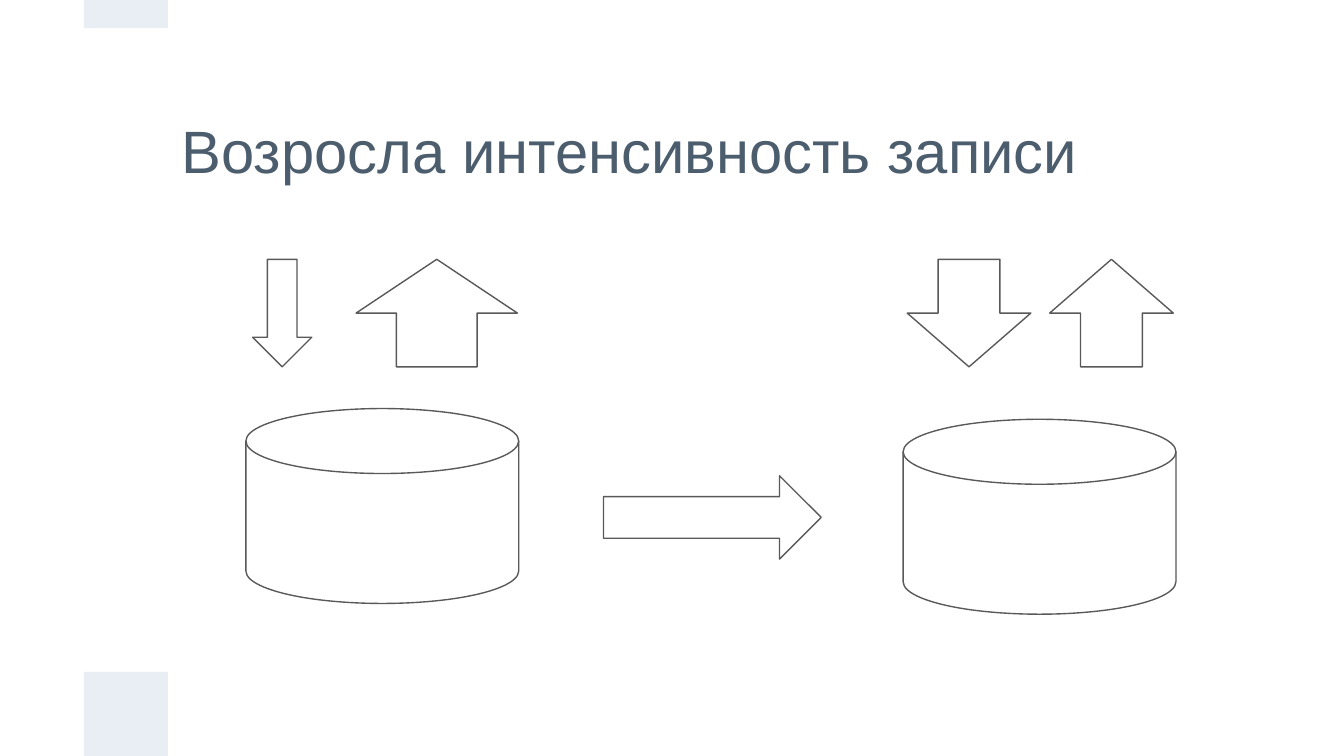
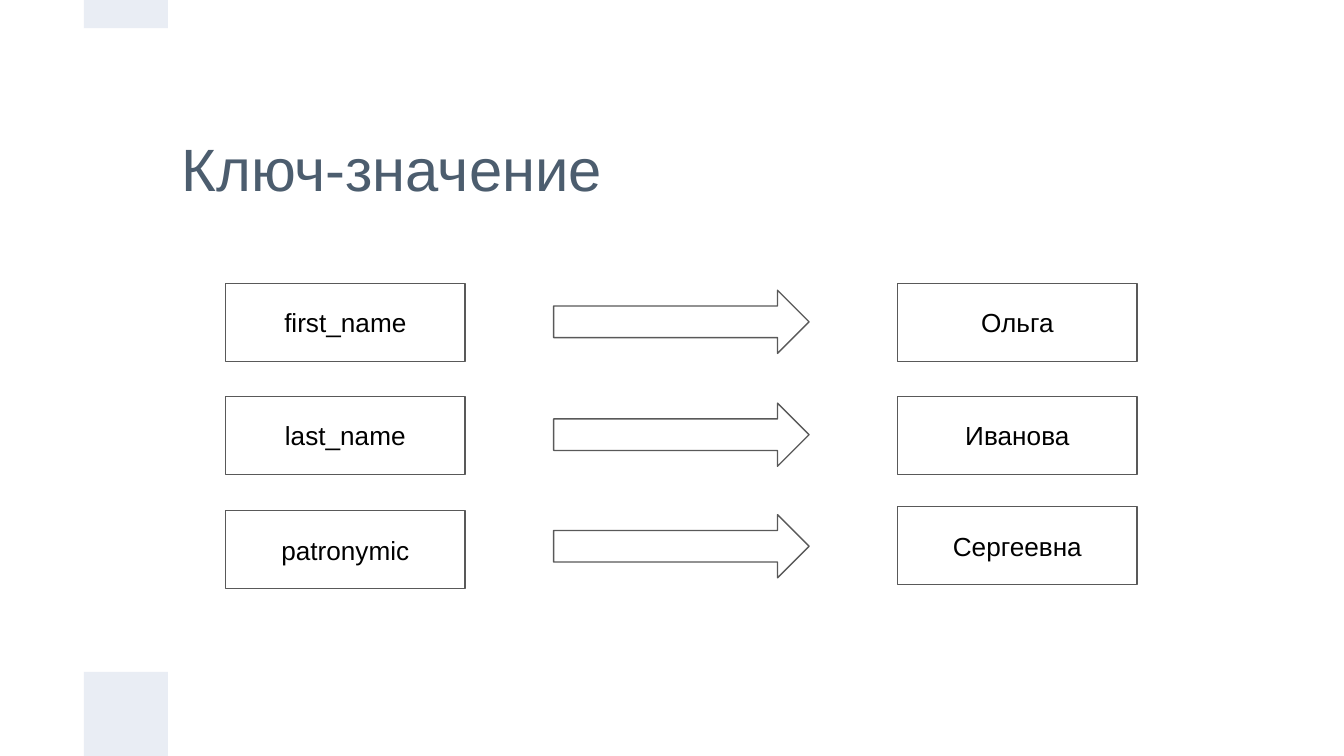
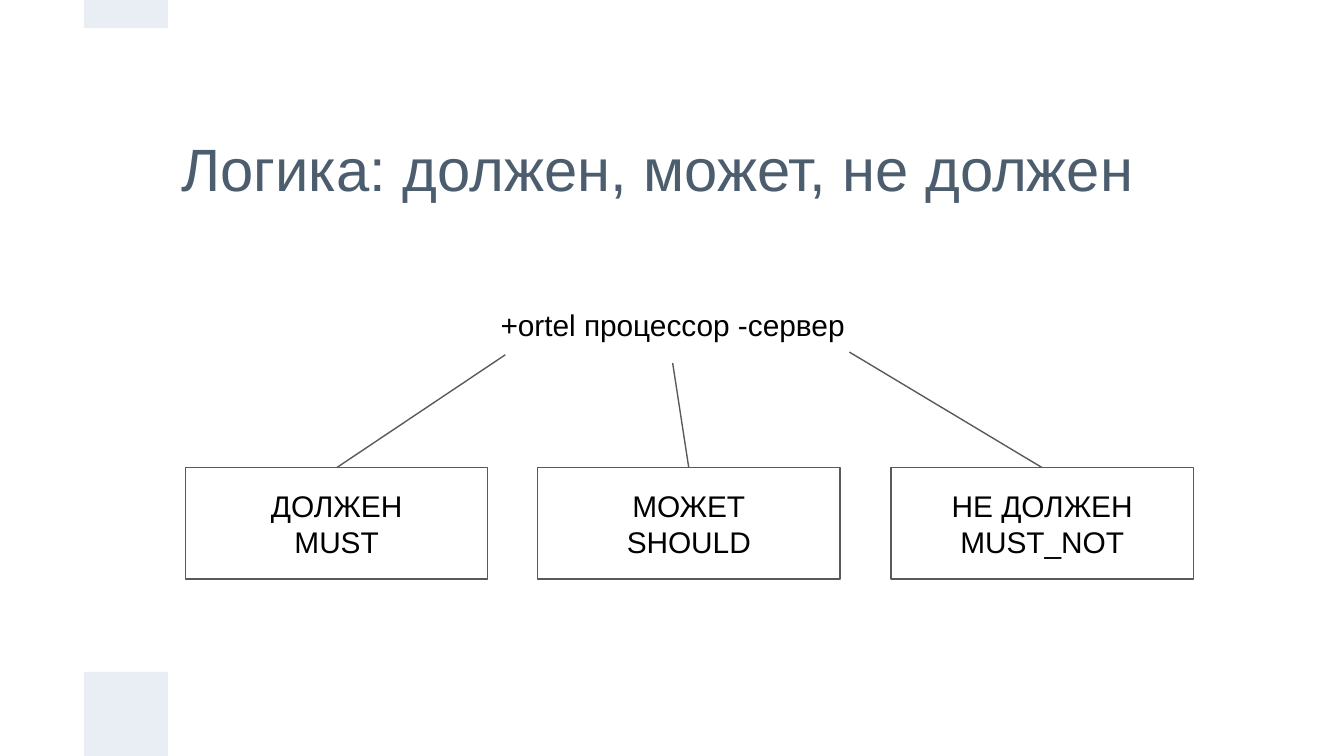
from lxml import etree
from pptx import Presentation
from pptx.dml.color import RGBColor
from pptx.enum.shapes import MSO_CONNECTOR, MSO_SHAPE as Preset
from pptx.enum.text import MSO_ANCHOR as Anchor, MSO_AUTO_SIZE as AutoSize, PP_ALIGN as Align
from pptx.oxml.ns import qn
from pptx.util import Inches, Pt

FONT = "Arial"
TITLE, TEXT, OUTLINE, BAND = "4C5D6E", "000000", "595959", "E9EDF4"
BAND_SIZE = 10 / 16
TITLES = [
    ("Возросла интенсивность записи", 0.98),
    ("Ключ-значение", 1.25),
    ("Логика: должен, может, не должен", 1.25),
]


def write_text(shape, text, size, color=TEXT, align=Align.CENTER, anchor=Anchor.MIDDLE):
    frame = shape.text_frame
    frame.word_wrap = True
    frame.auto_size = AutoSize.NONE
    frame.vertical_anchor = anchor
    frame.margin_left = frame.margin_right = Inches(0.1)
    frame.margin_top = frame.margin_bottom = Inches(0.1)
    frame.text = text
    for paragraph in frame.paragraphs:
        paragraph.alignment = align
        paragraph.font.name = FONT
        paragraph.font.size = Pt(size)
        paragraph.font.color.rgb = RGBColor.from_string(color)


def draw_shape(slide, preset, left, top, width, height, fill=None):
    """Draw a filled shape without a line, or an outlined shape without a fill."""
    shape = slide.shapes.add_shape(
        preset, Inches(left), Inches(top), Inches(width), Inches(height))
    shape.shadow.inherit = False
    if fill:
        shape.fill.solid()
        shape.fill.fore_color.rgb = RGBColor.from_string(fill)
        shape.line.fill.background()
    else:
        shape.fill.background()
        shape.line.color.rgb = RGBColor.from_string(OUTLINE)
        shape.line.width = Pt(0.75)
    return shape


# Wide 16:9 page
presentation = Presentation()
presentation.slide_width = Inches(10)
presentation.slide_height = Inches(10 * 9 / 16)

# Titles and bands on every slide
slides = []
for title_text, title_height in TITLES:
    slide = presentation.slides.add_slide(presentation.slide_layouts.get_by_name("Title Only"))
    title = slide.shapes.title
    title.left, title.top = Inches(1.25), Inches(BAND_SIZE)
    title.width, title.height = Inches(7.5), Inches(title_height)
    write_text(title, title_text, 32, TITLE, Align.LEFT)
    for top, height in [(5, BAND_SIZE), (0, 0.21)]:
        draw_shape(slide, Preset.RECTANGLE, BAND_SIZE, top, BAND_SIZE, height, BAND)
    slides.append(slide)
write_slide, pairs_slide, logic_slide = slides

# Slide 1: two stores with their read and write flows
draw_shape(write_slide, Preset.RIGHT_ARROW, 4.49, 3.54, 1.62, 0.62)
for left, top in [(1.83, 3.04), (6.72, 3.12)]:
    draw_shape(write_slide, Preset.FLOWCHART_MAGNETIC_DISK, left, top, 2.03, 1.45)
for preset, left, width in [
    (Preset.UP_ARROW, 2.65, 1.2),
    (Preset.DOWN_ARROW, 1.88, 0.44),
    (Preset.UP_ARROW, 7.81, 0.92),
    (Preset.DOWN_ARROW, 6.75, 0.92),
]:
    draw_shape(write_slide, preset, left, 1.93, width, 0.8)

# Slide 2: each key points to its value
for key, value, key_top, arrow_top, value_top in [
    ("first_name", "Ольга", 2.11, 2.16, 2.11),
    ("last_name", "Иванова", 2.95, 3, 2.95),
    ("patronymic", "Сергеевна", 3.8, 3.83, 3.77),
]:
    for text, left, top in [(key, 1.68, key_top), (value, 6.68, value_top)]:
        box = draw_shape(pairs_slide, Preset.RECTANGLE, left, top, 1.78, 0.58)
        write_text(box, text, 14)
    draw_shape(pairs_slide, Preset.RIGHT_ARROW, 4.12, arrow_top, 1.9, 0.47)

# Slide 3: the query and the meaning of its terms
query = logic_slide.shapes.add_textbox(Inches(3.21), Inches(2.18), Inches(3.59), Inches(0.52))
write_text(query, "+ortel процессор -сервер", 16, anchor=Anchor.TOP)
for left, text, end_x, end_y in [
    (1.38, "ДОЛЖЕН\nMUST", 3.76, 2.64),
    (4, "МОЖЕТ\nSHOULD", 5, 2.7),
    (6.63, "НЕ ДОЛЖЕН\nMUST_NOT", 6.32, 2.62),
]:
    box = draw_shape(logic_slide, Preset.RECTANGLE, left, 3.48, 2.25, 0.83)
    write_text(box, text, 16)
    connector = logic_slide.shapes.add_connector(
        MSO_CONNECTOR.STRAIGHT, 0, 0, Inches(end_x), Inches(end_y))
    connector.begin_connect(box, 0)
    if end_x == 5:
        connector.end_connect(query, 2)
    connector.line.color.rgb = RGBColor.from_string(OUTLINE)
    connector.line.width = Pt(0.75)
    etree.SubElement(connector.element.spPr, qn("a:effectLst"))

presentation.save("out.pptx")
